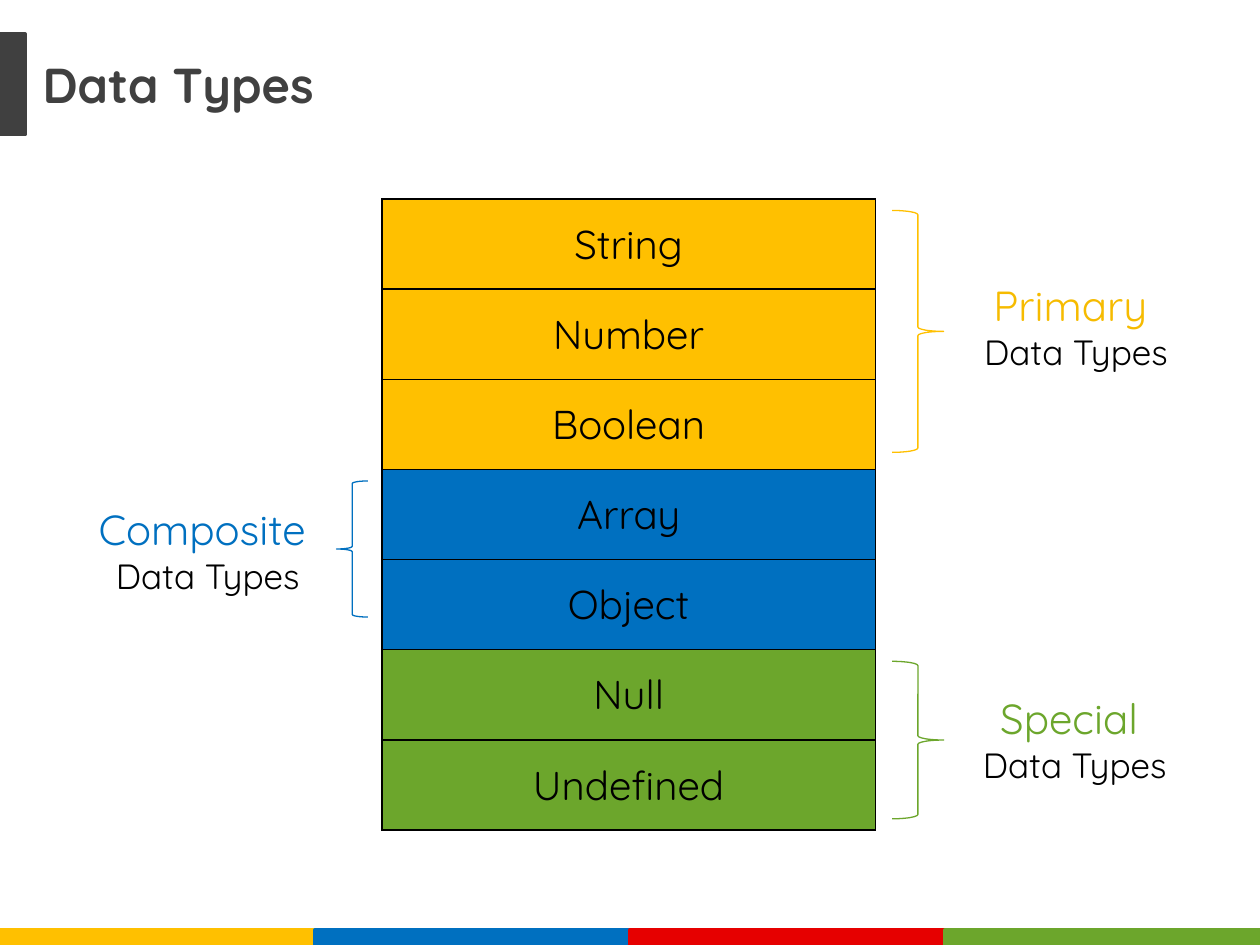
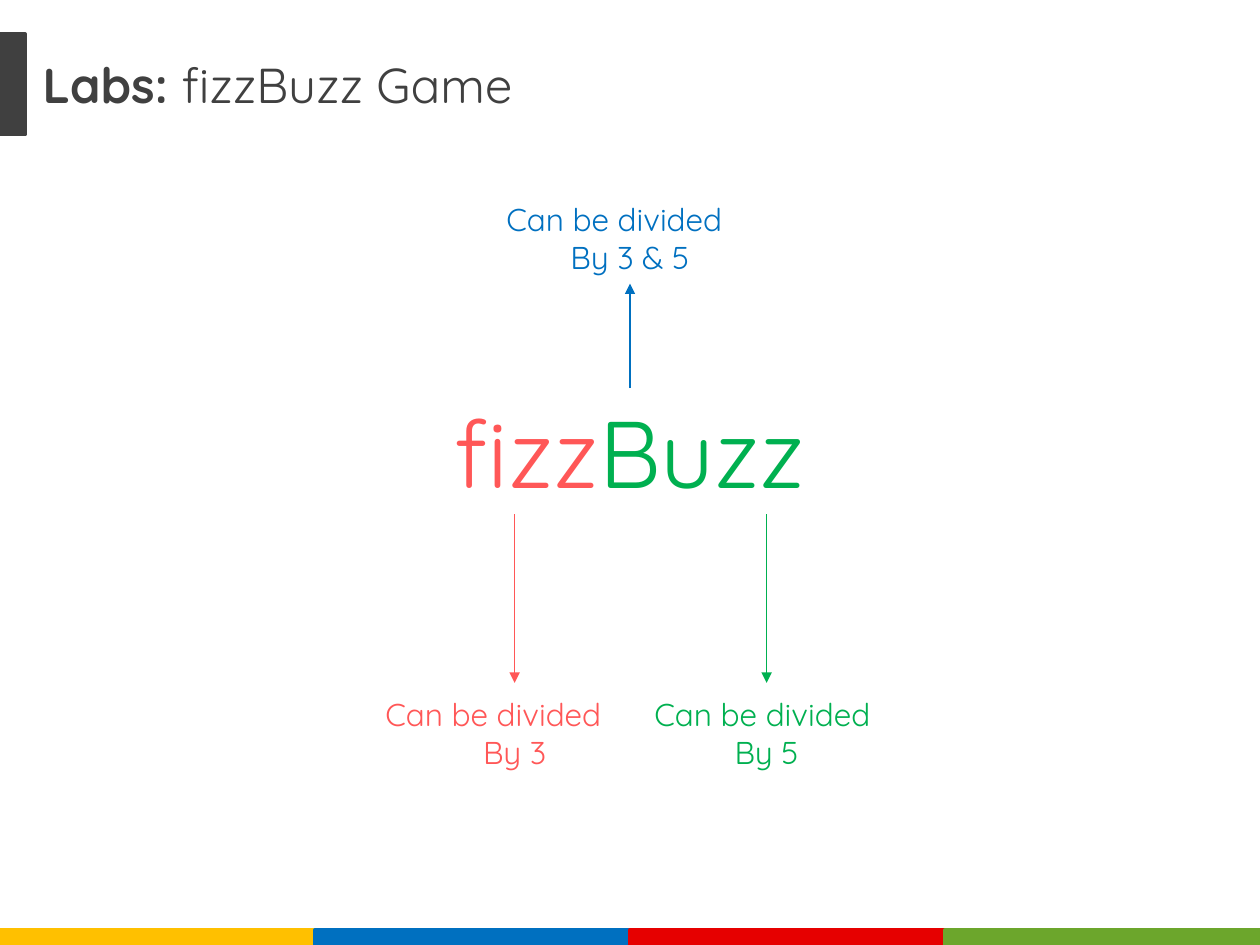
import pptx
import pptx.util
import pptx.dml.color
import pptx.enum.shapes
import pptx.enum.text
import pptx.oxml
import pptx.oxml.ns

WIDTH, HEIGHT = 10, 7.5
FONT = "Quicksand"
DARK, BLACK = "404040", "000000"
YELLOW, BLUE, RED, GREEN = "FFC000", "0070C0", "E60000", "6CA62C"
GOLD, CORAL, EMERALD = "F6BB00", "FF5757", "00B050"
FOOTER_BANDS = [YELLOW, BLUE, RED, GREEN]
BAND_HEIGHT = 0.12

TYPE_GROUPS = [
    {"kind": "Primary ", "types": ["String", "Number", "Boolean"], "color": YELLOW,
     "label_color": GOLD, "side": "right", "brace_height": 1.92, "label_at": (7.5, 2.17)},
    {"kind": "Composite ", "types": ["Array", "Object"], "color": BLUE,
     "label_color": BLUE, "side": "left", "brace_height": 1.08, "label_at": (0.61, 3.95)},
    {"kind": "Special ", "types": ["Null", "Undefined"], "color": GREEN,
     "label_color": GREEN, "side": "right", "brace_height": 1.25, "label_at": (7.49, 5.45)},
]
STACK_LEFT, STACK_TOP, STACK_WIDTH, STACK_HEIGHT = 3.03, 1.58, 3.92, 5.01
BRACE_INSET = 0.09
BRACES = {"left": ("LEFT_BRACE", 2.67, 0.25), "right": ("RIGHT_BRACE", 7.08, 0.41)}

GAME_WORD = [("fizz", CORAL), ("Buzz", EMERALD)]
WORD_BOX = (1.92, 3.08, 6.16, 1)
DIVISORS = [
    ("Can be divided", "By 3", CORAL, (2.96, 5.47, 2.25, 0.71), "left"),
    ("Can be divided ", "By 5", EMERALD, (5, 5.47, 2.17, 0.71), "center"),
]
BOTH = ("Can be divided", "By 3 & 5", BLUE, (3.92, 1.54, 2.16, 0.71), "left")
ARROW_GAP = 0.05

ALIGN = {"left": pptx.enum.text.PP_ALIGN.LEFT, "center": pptx.enum.text.PP_ALIGN.CENTER}


def rgb(color):
    return pptx.dml.color.RGBColor.from_string(color)


def inches(*lengths):
    return [pptx.util.Inches(length) for length in lengths]


def write(paragraph, text, size=18, color=BLACK, bold=False, align="left"):
    paragraph.alignment = ALIGN[align]
    run = paragraph.add_run()
    run.text = text
    run.font.name = FONT
    run.font.size = pptx.util.Pt(size)
    run.font.bold = bold
    run.font.color.rgb = rgb(color)


def text_box(slide, box, paragraphs):
    shape = slide.shapes.add_textbox(*inches(*box))
    frame = shape.text_frame
    frame.word_wrap = True
    for index, runs in enumerate(paragraphs):
        paragraph = frame.add_paragraph() if index else frame.paragraphs[0]
        for text, style in runs:
            write(paragraph, text, **style)
    return shape


def add_shape(slide, preset, box, line, width, fill=None):
    kind = pptx.enum.shapes.MSO_SHAPE[preset]
    shape = slide.shapes.add_shape(kind, *inches(*box))
    shape.shadow.inherit = False
    shape.line.color.rgb = rgb(line)
    shape.line.width = pptx.util.Pt(width)
    if fill:
        shape.fill.solid()
        shape.fill.fore_color.rgb = rgb(fill)
    else:
        shape.fill.background()


def add_arrow(slide, start, end, color, width):
    straight = pptx.enum.shapes.MSO_CONNECTOR.STRAIGHT
    arrow = slide.shapes.add_connector(straight, *inches(*start, *end))
    arrow.line.color.rgb = rgb(color)
    arrow.line.width = pptx.util.Pt(width)
    qn = pptx.oxml.ns.qn
    head = arrow.line._get_or_add_ln().makeelement(qn("a:tailEnd"), {"type": "triangle"})
    arrow.line._get_or_add_ln().append(head)
    properties = arrow._element.spPr
    properties.append(properties.makeelement(qn("a:effectLst"), {}))
    return arrow


def start_slide(deck, title):
    slide = deck.slides.add_slide(deck.slide_layouts[6])
    band_width = WIDTH / len(FOOTER_BANDS)
    for column, color in enumerate(FOOTER_BANDS):
        box = (column * band_width, HEIGHT - BAND_HEIGHT, band_width, BAND_HEIGHT)
        add_shape(slide, "RECTANGLE", box, color, 2, color)
    text_box(slide, (0.24, 0.38, 8, 0.57),
             [[(text, {"size": 28, "color": DARK, "bold": bold}) for text, bold in title]])
    add_shape(slide, "RECTANGLE", (0, 0.27, 0.2, 0.8), DARK, 2, DARK)
    return slide


def fill_cell(cell, text, color):
    cell.fill.solid()
    cell.fill.fore_color.rgb = rgb(color)
    cell.vertical_anchor = pptx.enum.text.MSO_ANCHOR.MIDDLE
    cell.margin_left, cell.margin_right = inches(0.12, 0.12)
    cell.margin_top, cell.margin_bottom = inches(0.06, 0.06)
    write(cell.text_frame.paragraphs[0], text, size=23, align="center")
    properties = cell._tc.get_or_add_tcPr()
    for index, side in enumerate(("lnL", "lnR", "lnT", "lnB")):
        properties.insert(index, pptx.oxml.parse_xml(
            f'<a:{side} {pptx.oxml.ns.nsdecls("a")} w="12700"><a:solidFill>'
            f'<a:srgbClr val="{BLACK}"/></a:solidFill></a:{side}>'))


def data_types(deck):
    slide = start_slide(deck, [("Data Types", True)])
    rows = [(name, group["color"]) for group in TYPE_GROUPS for name in group["types"]]
    row_height = STACK_HEIGHT / len(rows)
    stack = slide.shapes.add_table(
        len(rows), 1, *inches(STACK_LEFT, STACK_TOP, STACK_WIDTH, STACK_HEIGHT)).table
    stack.first_row = stack.horz_banding = False
    for row, (name, color) in enumerate(rows):
        stack.rows[row].height = pptx.util.Inches(row_height)
        fill_cell(stack.cell(row, 0), name, color)
    group_top = STACK_TOP
    for group in TYPE_GROUPS:
        preset, left, width = BRACES[group["side"]]
        box = (left, group_top + BRACE_INSET, width, group["brace_height"])
        add_shape(slide, preset, box, group["color"], 0.75)
        text_box(slide, (*group["label_at"], 2.08, 0.84), [
            [(group["kind"], {"size": 24, "color": group["label_color"], "align": "center"})],
            [("Data Types", {"size": 20, "align": "center"})],
        ])
        group_top += row_height * len(group["types"])


def divisor_label(slide, first, second, color, box, align):
    return text_box(slide, box, [[(first, {"color": color, "align": align})],
                                 [(second, {"color": color, "align": "center"})]])


def fizz_buzz(deck):
    slide = start_slide(deck, [("Labs: ", True), ("fizzBuzz Game", False)])
    word = text_box(slide, WORD_BOX, [
        [(text, {"size": 54, "color": color, "align": "center"}) for text, color in GAME_WORD]])
    word_top, word_bottom = WORD_BOX[1], WORD_BOX[1] + WORD_BOX[3]
    for divisor in DIVISORS:
        divisor_label(slide, *divisor)
        color, (left, top, width, height) = divisor[2:4]
        middle = left + width / 2
        add_arrow(slide, (middle, word_bottom), (middle, top - ARROW_GAP), color, 0.75)
    both = divisor_label(slide, *BOTH)
    label_bottom = BOTH[3][1] + BOTH[3][3]
    arrow = add_arrow(slide, (WIDTH / 2, word_top), (WIDTH / 2, label_bottom), BLUE, 1.5)
    arrow.begin_connect(word, 0)
    arrow.end_connect(both, 2)


def main():
    deck = pptx.Presentation()
    deck.slide_width, deck.slide_height = inches(WIDTH, HEIGHT)
    data_types(deck)
    fizz_buzz(deck)
    deck.save("out.pptx")


if __name__ == "__main__":
    main()
